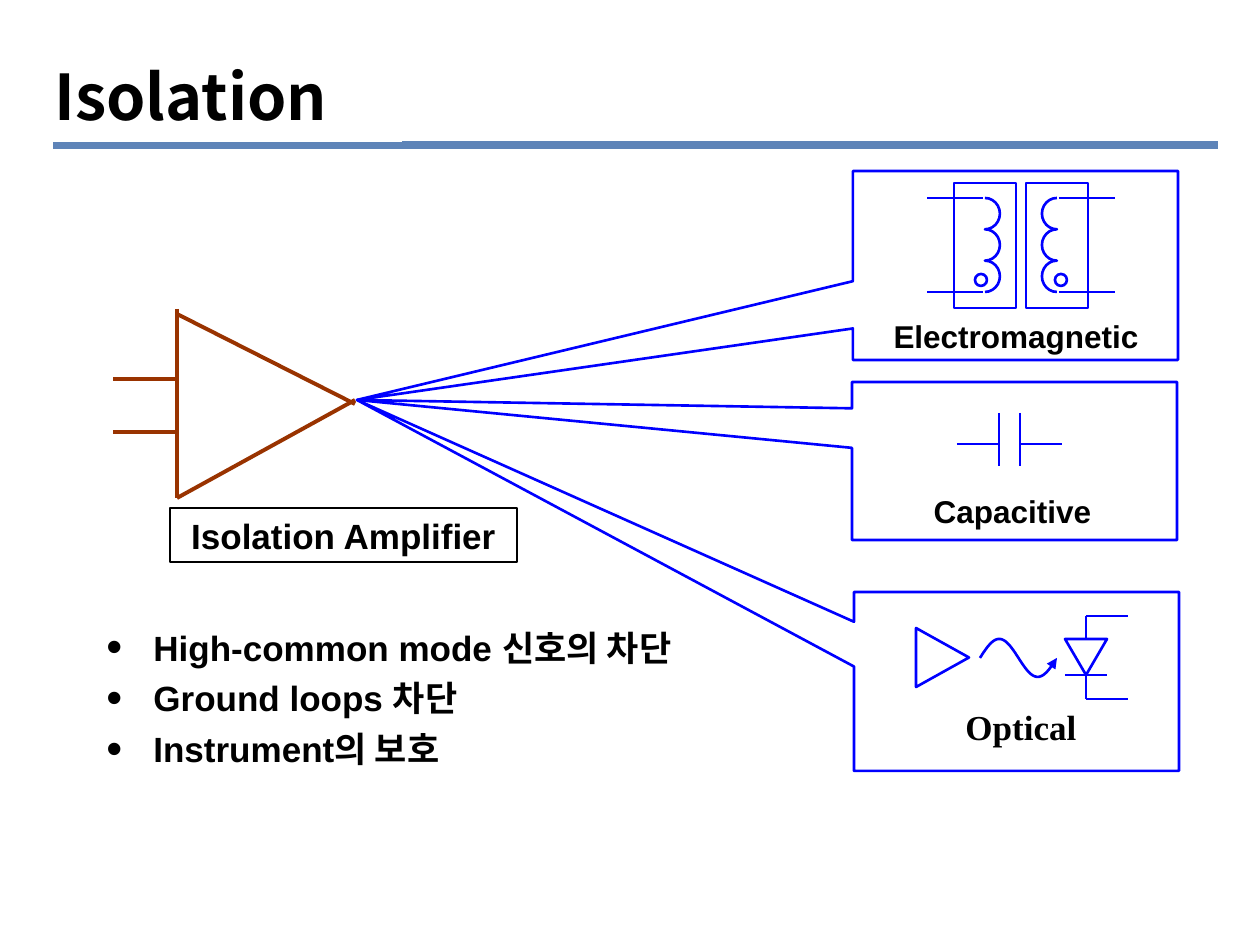
import math

from lxml import etree
from pptx import Presentation
from pptx import util as u
from pptx.dml import color
from pptx.enum import shapes, text
from pptx.oxml import ns

PX = 914400 / 126
BLUE, BROWN, BLACK, WHITE, BAR = "0000FF", "993300", "000000", "FFFFFF", "5E84B8"
TIP = (357, 400)
SHAPE = shapes.MSO_SHAPE


def px(n):
    return u.Emu(round(n * PX))


def rgb(value):
    return color.RGBColor.from_string(value)


def child(parent, tag, **attrs):
    return etree.SubElement(parent, ns.qn(tag), attrs)


def outline(sp, hex_color, width):
    sp.line.color.rgb = rgb(hex_color)
    sp.line.width = u.Pt(width)


def add_shape(s, kind, box, line=BLUE, width=1.5, rotation=0):
    sp = s.shapes.add_shape(kind, *map(px, box))
    sp.shadow.inherit = False
    sp.fill.background()
    outline(sp, line, width)
    sp.rotation = rotation
    return sp


def add_line(s, x1, y1, x2, y2, line=BLUE, width=1.5):
    c = s.shapes.add_connector(shapes.MSO_CONNECTOR.STRAIGHT, px(x1), px(y1), px(x2), px(y2))
    outline(c, line, width)
    child(c._element.spPr, "a:effectLst")


def add_lines(s, x, y, segments, **style):
    for x1, y1, x2, y2 in segments:
        add_line(s, x + x1, y + y1, x + x2, y + y2, **style)


def add_curve(s, points, arrow=False):
    points = [(px(x), px(y)) for x, y in points]
    builder = s.shapes.build_freeform(*points[0])
    builder.add_line_segments(points[1:], close=False)
    sp = builder.convert_to_shape()
    sp.shadow.inherit = False
    sp.fill.background()
    outline(sp, BLUE, 1.5)
    if arrow:
        child(sp.line._get_or_add_ln(), "a:tailEnd", type="triangle")


def add_bullet(p):
    pPr = p._p.get_or_add_pPr()
    indent = px(47)
    pPr.set("marL", str(indent))
    pPr.set("indent", str(-indent))
    child(child(pPr, "a:buClr"), "a:srgbClr", val=BLACK)
    child(pPr, "a:buSzPct", val="130000")
    child(pPr, "a:buFont", typeface="Arial")
    child(pPr, "a:buChar", char="•")


def add_text(s, content, box, font="Arial", size=20, align="CENTER", anchor="TOP",
             wrap=True, fill=None, line=None, bullet=False, gap=0):
    sp = s.shapes.add_textbox(*map(px, box))
    if fill:
        sp.fill.solid()
        sp.fill.fore_color.rgb = rgb(fill)
    if line:
        outline(sp, line, 1)
    tf = sp.text_frame
    tf.word_wrap = wrap
    tf.vertical_anchor = getattr(text.MSO_ANCHOR, anchor)
    for i, words in enumerate(content.split("\n")):
        p = tf.add_paragraph() if i else tf.paragraphs[0]
        p.alignment = getattr(text.PP_ALIGN, align)
        if bullet:
            add_bullet(p)
        if i and gap:
            p.space_before = u.Pt(gap)
        r = p.add_run()
        r.text = words
        r.font.name = font
        r.font.size = u.Pt(size)
        r.font.bold = True
        r.font.color.rgb = rgb(BLACK)
        child(r._r.get_or_add_rPr(), "a:ea", typeface="Noto Sans CJK KR")


def callout(s, x, y, w, h):
    sp = add_shape(s, SHAPE.RECTANGULAR_CALLOUT, (x, y, w, h))
    sp.adjustments[0] = (TIP[0] - x - w / 2) / w
    sp.adjustments[1] = (TIP[1] - y - h / 2) / h


def winding(s, mid, y, side):
    add_shape(s, SHAPE.RECTANGLE, (mid + min(side * 5, side * 67), y + 12, 62, 125))
    radius, turns, steps = 94 / 6, 3, 12
    points = []
    for turn in range(turns):
        for step in range(steps + 1):
            a = math.pi * step / steps
            points.append((mid + side * (36 - 15 * math.sin(a)),
                           y + 27 + radius * (2 * turn + 1 - math.cos(a))))
    add_curve(s, points)
    add_shape(s, SHAPE.OVAL, (mid + side * 40 - 6, y + 103, 12, 12))
    add_lines(s, mid, y, [(side * 38, level, side * 94, level) for level in (27, 121)])


def electromagnetic(s, x, y, w, h):
    callout(s, x, y, w, h)
    for side in (-1, 1):
        winding(s, x + 168, y, side)
    add_text(s, "Electromagnetic", (x + 28, y + 140, 270, 50), size=18, wrap=False)


def capacitive(s, x, y, w, h):
    callout(s, x, y, w, h)
    add_lines(s, x, y, [(147, 31, 147, 84), (105, 62, 147, 62),
                        (168, 62, 210, 62), (168, 31, 168, 84)])
    add_text(s, "Capacitive", (x + 69, y + 104, 183, 50), size=18, wrap=False)


def optical(s, x, y, w, h):
    callout(s, x, y, w, h)
    add_shape(s, SHAPE.ISOSCELES_TRIANGLE, (x + 59, y + 39, 59, 53), rotation=90)
    add_shape(s, SHAPE.ISOSCELES_TRIANGLE, (x + 211, y + 47, 42, 36), rotation=180)
    add_lines(s, x, y, [(211, 83, 253, 83), (232, 83, 232, 107), (232, 24, 232, 47),
                        (232, 107, 274, 107), (232, 24, 274, 24)])
    steps = 48
    add_curve(s, [(x + 126 + 77 * i / steps, y + 66 - 19 * math.sin(2 * math.pi * i / steps))
                  for i in range(steps + 1)], arrow=True)
    add_text(s, "Optical", (x + 83, y + 107, 168, 53), font="Times New Roman")


def amplifier(s, x, y):
    add_lines(s, x, y, [(64, 0, 64, 189), (64, 5, 242, 95), (64, 189, 242, 91),
                        (64, 70, 0, 70), (64, 123, 0, 123)], line=BROWN, width=2.25)
    add_text(s, "Isolation Amplifier", (x + 57, y + 199, 347, 54), line=BLACK)


def heading(s, x, y):
    add_line(s, x + 11, y + 97, x + 1176, y + 97, line=BAR, width=4.5)
    add_text(s, "Isolation", (x, y, 360, 94), font="Noto Sans CJK KR", size=36,
             align="LEFT", anchor="MIDDLE", fill=WHITE)


def main():
    prs = Presentation()
    prs.slide_width, prs.slide_height = px(1260), px(945)
    s = prs.slides.add_slide(prs.slide_layouts[6])
    heading(s, 42, 48)
    electromagnetic(s, 853, 171, 325, 189)
    capacitive(s, 852, 382, 325, 158)
    optical(s, 854, 592, 325, 179)
    add_text(s, "High-common mode 신호의 차단\nGround loops 차단\nInstrument의 보호",
             (94, 620, 726, 160), align="LEFT", bullet=True, gap=5)
    amplifier(s, 113, 309)
    prs.save("out.pptx")


if __name__ == "__main__":
    main()
